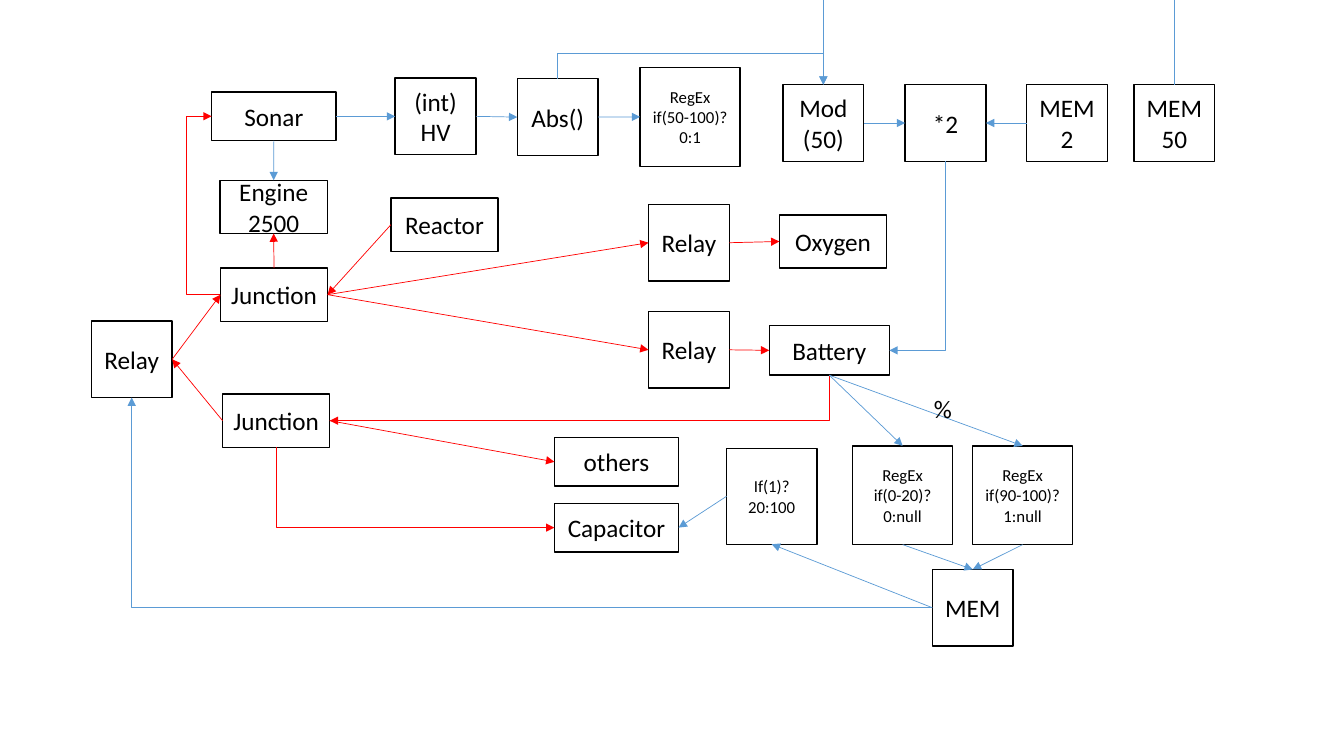
import dataclasses

import pptx
import pptx.dml.color
import pptx.enum.dml
import pptx.enum.shapes
import pptx.enum.text
import pptx.oxml
import pptx.oxml.ns
import pptx.util

Pt = pptx.util.Pt
qn = pptx.oxml.ns.qn
TOP, LEFT, BOTTOM, RIGHT = range(4)


@dataclasses.dataclass(frozen=True)
class Theme:
    font: str = "Calibri"
    ink: str = "000000"
    paper: str = "FFFFFF"
    power: str = "FF0000"
    signal: str = "5B9BD5"
    label: int = 18
    rule: int = 12
    outline: float = 1
    wire: float = 0.5


@dataclasses.dataclass(frozen=True)
class Box:
    left: float
    top: float


THEME = Theme()
CELL = (57.75, 54.75)
UNIT = (76.5, 38)
BAR = (88.75, 34.75)
RULE = (71.5, 70.5)


def colour(value):
    return pptx.dml.color.RGBColor.from_string(value)


def apply(target, values):
    for name, value in values.items():
        setattr(target, name, value)


def write(frame, text, size, alignment):
    frame.text = text
    for para in frame.paragraphs:
        para.alignment = alignment
        for span in para.runs:
            apply(span.font, {"name": THEME.font, "size": Pt(size)})
            span.font.color.rgb = colour(THEME.ink)


def add_node(page, box, x, y, size, text, type_size=THEME.label, filled=False):
    shape = page.shapes.add_shape(
        pptx.enum.shapes.MSO_SHAPE.RECTANGLE,
        Pt(box.left + x), Pt(box.top + y), *map(Pt, size))
    shape.shadow.inherit = False
    if filled:
        shape.fill.solid()
        shape.fill.fore_color.rgb = colour(THEME.paper)
    else:
        shape.fill.background()
    shape.line.color.rgb = colour(THEME.ink)
    shape.line.width = Pt(THEME.outline)
    apply(shape.text_frame, {
        "word_wrap": True,
        "vertical_anchor": pptx.enum.text.MSO_ANCHOR.MIDDLE})
    write(shape.text_frame, text, type_size, pptx.enum.text.PP_ALIGN.CENTER)
    return shape


def style_wire(wire, shade, arrow=True):
    wire.line.color.rgb = colour(shade)
    wire.line.width = Pt(THEME.wire)
    properties = wire.element.spPr
    if arrow:
        tip = pptx.oxml.parse_xml(
            f'<a:tailEnd {pptx.oxml.ns.nsdecls("a")} type="triangle"/>')
        properties.find(qn("a:ln")).append(tip)
    properties.append(pptx.oxml.parse_xml(
        f'<a:effectLst {pptx.oxml.ns.nsdecls("a")}/>'))


def join(page, kind, source, source_side, target, target_side):
    wire = page.shapes.add_connector(kind, 0, 0, 0, 0)
    wire.begin_connect(source, source_side)
    wire.end_connect(target, target_side)
    return wire


def add_arrow(page, shade, *ends):
    style_wire(join(page, pptx.enum.shapes.MSO_CONNECTOR.STRAIGHT, *ends), shade)


def add_elbow(page, shade, source, source_side, target, target_side, via=None):
    wire = join(page, pptx.enum.shapes.MSO_CONNECTOR.ELBOW,
                source, source_side, target, target_side)
    vertical = source_side in (TOP, BOTTOM)
    start_x, start_y, end_x, end_y = wire.begin_x, wire.begin_y, wire.end_x, wire.end_y
    geometry = wire.element.spPr.find(qn("a:prstGeom"))
    if via is None:
        geometry.set("prst", "bentConnector2")
    else:
        start, end = (start_y, end_y) if vertical else (start_x, end_x)
        bend = round((Pt(via) - start) / (end - start) * 100000)
        geometry.find(qn("a:avLst")).append(pptx.oxml.parse_xml(
            f'<a:gd {pptx.oxml.ns.nsdecls("a")} name="adj1" fmla="val {bend}"/>'))
    if vertical:
        middle_x, middle_y = (start_x + end_x) // 2, (start_y + end_y) // 2
        half_x, half_y = (end_x - start_x) // 2, (end_y - start_y) // 2
        apply(wire, {"begin_x": middle_x - half_y, "begin_y": middle_y + half_x,
                     "end_x": middle_x + half_y, "end_y": middle_y - half_x})
        wire.element.spPr.find(qn("a:xfrm")).set("rot", "5400000")
    style_wire(wire, shade)


def add_edge_wire(page, target, arrow):
    middle = target.left + target.width // 2
    wire = page.shapes.add_connector(
        pptx.enum.shapes.MSO_CONNECTOR.STRAIGHT, middle, 0, middle, target.top)
    wire.end_connect(target, TOP)
    style_wire(wire, THEME.signal, arrow)


def draw_sensors(page, box):
    sonar = add_node(page, box, 0, 17.5, BAR, "Sonar")
    engine = add_node(page, box, 6, 80.5, UNIT, "Engine\n2500")
    integer = add_node(page, box, 131, 7.5, CELL, "(int)\nHV")
    absolute = add_node(page, box, 218.25, 8, CELL, "Abs()")
    check = add_node(page, box, 306, 0, RULE, "RegEx\nif(50-100)?\n0:1", THEME.rule)
    for source, target in ((sonar, integer), (integer, absolute), (absolute, check)):
        add_arrow(page, THEME.signal, source, RIGHT, target, LEFT)
    add_arrow(page, THEME.signal, sonar, BOTTOM, engine, TOP)
    return sonar, engine, absolute


def draw_scaler(page, box):
    modulo, double, factor, divisor = (
        add_node(page, box, x, 0, CELL, text)
        for x, text in ((0, "Mod\n(50)"), (87.25, "*2"), (174, "MEM2"), (250.75, "MEM50")))
    add_arrow(page, THEME.signal, modulo, RIGHT, double, LEFT)
    add_arrow(page, THEME.signal, factor, LEFT, double, RIGHT)
    add_edge_wire(page, modulo, True)
    add_edge_wire(page, divisor, False)
    return modulo, double


def draw_supply(page, box):
    relay = add_node(page, box, 0, 87.75, CELL, "Relay")
    reactor = add_node(page, box, 214, 0, UNIT, "Reactor")
    upper = add_node(page, box, 92.25, 50, UNIT, "Junction", filled=True)
    lower = add_node(page, box, 93.75, 140, UNIT, "Junction", filled=True)
    oxygen_relay = add_node(page, box, 398, 4.5, CELL, "Relay")
    battery_relay = add_node(page, box, 398, 81, CELL, "Relay")
    oxygen = add_node(page, box, 491.5, 12, UNIT, "Oxygen")
    battery = add_node(page, box, 484.25, 91, (85.75, 35.5), "Battery")
    others = add_node(page, box, 330.75, 171, BAR, "others")
    capacitor = add_node(page, box, 330.75, 218, BAR, "Capacitor")
    for ends in (
            (reactor, LEFT, upper, RIGHT),
            (upper, RIGHT, oxygen_relay, LEFT),
            (upper, RIGHT, battery_relay, LEFT),
            (oxygen_relay, RIGHT, oxygen, LEFT),
            (battery_relay, RIGHT, battery, LEFT),
            (lower, LEFT, relay, RIGHT),
            (relay, RIGHT, upper, LEFT),
            (lower, RIGHT, others, LEFT)):
        add_arrow(page, THEME.power, *ends)
    add_elbow(page, THEME.power, battery, BOTTOM, lower, RIGHT)
    add_elbow(page, THEME.power, lower, BOTTOM, capacitor, LEFT)
    return relay, upper, battery, capacitor


def draw_charge_control(page, box, relay, battery, capacitor):
    choice = add_node(page, box, 0, 43, (64.5, 68.5), "If(1)?\n20:100", THEME.rule)
    low = add_node(page, box, 90, 41.25, RULE, "RegEx\nif(0-20)?\n0:null", THEME.rule)
    high = add_node(page, box, 175.75, 41.25, RULE, "RegEx\nif(90-100)?\n1:null", THEME.rule)
    memory = add_node(page, box, 147, 129.5, CELL, "MEM")
    for ends in (
            (battery, BOTTOM, low, TOP),
            (battery, BOTTOM, high, TOP),
            (low, BOTTOM, memory, TOP),
            (high, BOTTOM, memory, TOP),
            (memory, LEFT, choice, BOTTOM),
            (choice, LEFT, capacitor, RIGHT)):
        add_arrow(page, THEME.signal, *ends)
    add_elbow(page, THEME.signal, memory, LEFT, relay, BOTTOM)
    percent = page.shapes.add_textbox(
        Pt(box.left + 141), Pt(box.top), Pt(27.5), Pt(29)).text_frame
    apply(percent, {"word_wrap": False,
                    "auto_size": pptx.enum.text.MSO_AUTO_SIZE.SHAPE_TO_FIT_TEXT})
    write(percent, "%", THEME.label, pptx.enum.text.PP_ALIGN.LEFT)


def main():
    deck = pptx.Presentation()
    apply(deck, {"slide_width": Pt(960), "slide_height": Pt(540)})
    page = deck.slides.add_slide(deck.slide_layouts[6])
    sonar, engine, absolute = draw_sensors(page, Box(151.25, 48.25))
    modulo, double = draw_scaler(page, Box(559.25, 60.5))
    relay, junction, battery, capacitor = draw_supply(page, Box(65.25, 141.5))
    draw_charge_control(page, Box(519, 277.25), relay, battery, capacitor)
    add_arrow(page, THEME.power, junction, TOP, engine, BOTTOM)
    add_elbow(page, THEME.power, junction, LEFT, sonar, LEFT, via=133.25)
    add_elbow(page, THEME.signal, absolute, TOP, modulo, TOP, via=38.25)
    add_elbow(page, THEME.signal, double, BOTTOM, battery, RIGHT)
    deck.save("out.pptx")


if __name__ == "__main__":
    main()
